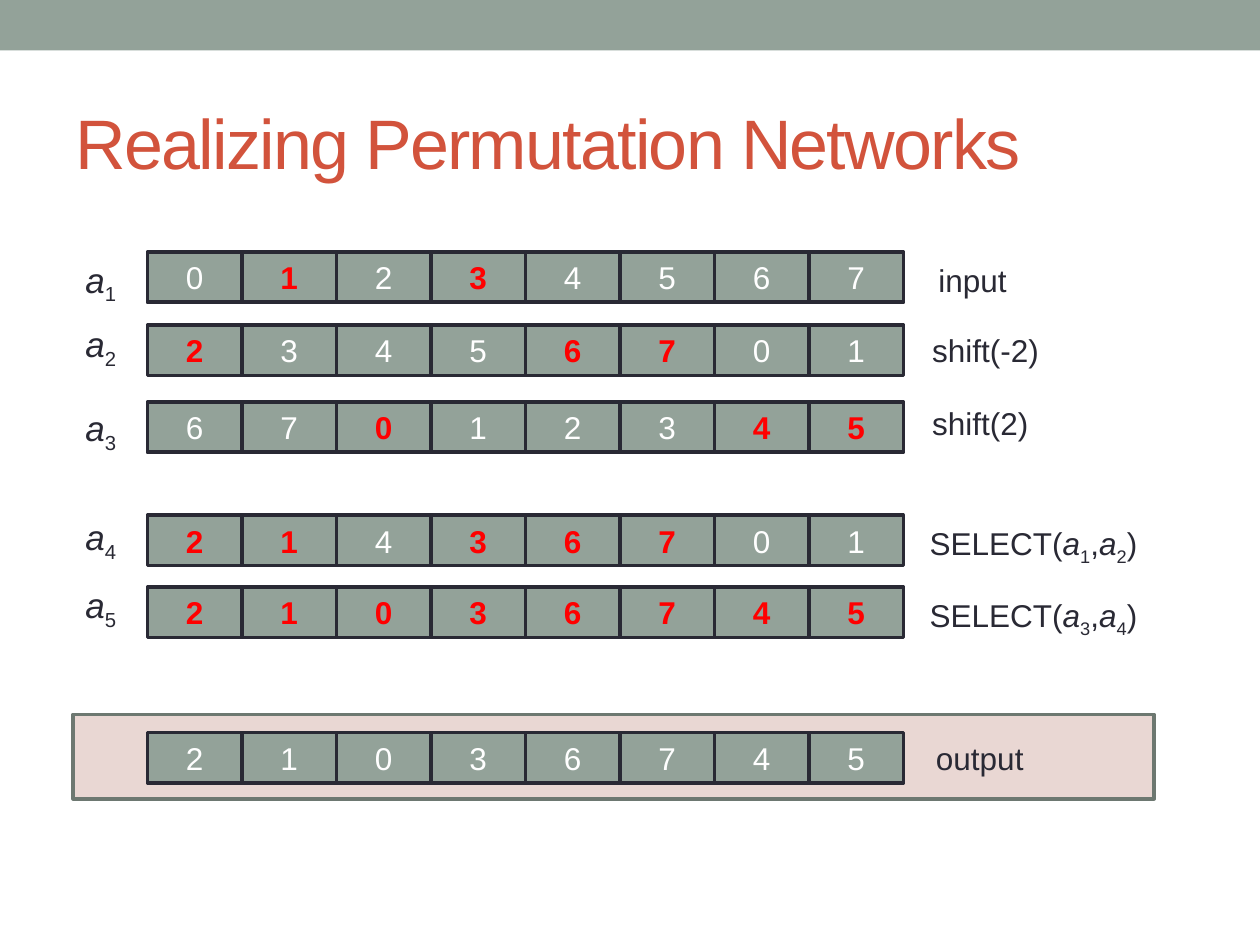
from pptx import Presentation
from pptx.dml.color import RGBColor
from pptx.enum.shapes import MSO_SHAPE as Shape
from pptx.enum.text import MSO_ANCHOR as Anchor, MSO_AUTO_SIZE as AutoSize, PP_ALIGN as Align
from pptx.util import Inches, Pt

SAGE, INK, WHITE, RED = "93A299", "292934", "FFFFFF", "FF0000"
TITLE_RED, PINK, FRAME = "D2533C", "E9D7D3", "6D7871"
CELL_WIDTH, CELL_HEIGHT = 0.75, 0.4
ROW_LEFT, NAME_LEFT = 1.17, 0.58


def color(value):
    return RGBColor.from_string(value)


def set_values(target, values):
    for name, value in values.items():
        setattr(target, name, value)


def inches(box):
    return [Inches(length) for length in box]


def add_run(paragraph, text, size, hex_color, **values):
    run = paragraph.add_run()
    run.text = text
    set_values(run.font, {"name": "Arial", "size": Pt(size), **values})
    run.font.color.rgb = color(hex_color)
    return run


def add_box(shapes, box, fill, line=None):
    shape = shapes.add_shape(Shape.RECTANGLE, *inches(box))
    shape.shadow.inherit = False
    shape.fill.solid()
    shape.fill.fore_color.rgb = color(fill)
    if line:
        shape.line.color.rgb = color(line)
        shape.line.width = Pt(2.08)
    else:
        shape.line.fill.background()
    return shape


def variable(index):
    """Runs of an italic a with its subscript."""
    return [("a", "italic"), (str(index), "subscript")]


def select(first, second):
    return [("SELECT(", ""), *variable(first), (",", ""), *variable(second), (")", "")]


def add_label(slide, box, parts, size=18):
    frame = slide.shapes.add_textbox(*inches(box)).text_frame
    set_values(frame, {"word_wrap": False, "auto_size": AutoSize.SHAPE_TO_FIT_TEXT})
    for text, style in parts:
        run = add_run(frame.paragraphs[0], text, size, INK, italic=style == "italic")
        if style == "subscript":
            run.font._element.set("baseline", "-25000")


def add_array(shapes, left, top, values, marks):
    """Row of touching cells; marked values are bold red."""
    for column, (value, marked) in enumerate(zip(values, marks)):
        box = (left + column * CELL_WIDTH, top, CELL_WIDTH, CELL_HEIGHT)
        frame = add_box(shapes, box, SAGE, INK).text_frame
        frame.vertical_anchor = Anchor.MIDDLE
        paragraph = frame.paragraphs[0]
        paragraph.alignment = Align.CENTER
        add_run(paragraph, str(value), 18, RED if marked else WHITE, bold=marked)


def add_title(slide, box, text):
    title = slide.shapes.title
    set_values(title, dict(zip(("left", "top", "width", "height"), inches(box))))
    title.text_frame.vertical_anchor = Anchor.MIDDLE
    paragraph = title.text_frame.paragraphs[0]
    paragraph.alignment = Align.LEFT
    run = add_run(paragraph, text, 40, TITLE_RED)
    run.font._element.set("spc", "-100")


def add_output(slide, box, values):
    """Framed result row with its label."""
    left, top, _, height = box
    add_box(slide.shapes, box, PINK, FRAME)
    row_top = top + (height - CELL_HEIGHT) / 2 + 0.01
    group = slide.shapes.add_group_shape()
    add_array(group.shapes, ROW_LEFT, row_top, values, [False] * len(values))
    add_label(slide, (left + 6.75, row_top, 0.95, 0.4), [("output", "")])


def shift(values, amount):
    return values[-amount:] + values[:-amount]


def choose(first, second, output):
    """Take the first array where it already agrees with the output."""
    return [a if a == target else b for a, b, target in zip(first, second, output)]


def main():
    presentation = Presentation()
    presentation.slide_width, presentation.slide_height = Inches(10), Inches(7.5)
    slide = presentation.slides.add_slide(presentation.slide_layouts[5])

    # Header
    add_box(slide.shapes, (0, 0, 10, 0.4), SAGE)
    add_title(slide, (0.5, 0.58, 9, 1.08), "Realizing Permutation Networks")

    # Arrays, each derived from the ones before
    output = [2, 1, 0, 3, 6, 7, 4, 5]
    a1 = list(range(8))
    a2, a3 = shift(a1, -2), shift(a1, 2)
    a4 = choose(a1, a2, output)
    a5 = choose(a3, a4, output)

    # Values, row top, name top, then label left, top, width and runs
    rows = [
        (a1, 2.00, 2.00, 7.35, 2.02, 0.80, [("input", "")]),
        (a2, 2.58, 2.51, 7.30, 2.58, 1.13, [("shift(-2)", "")]),
        (a3, 3.19, 3.18, 7.30, 3.16, 1.03, [("shift(2)", "")]),
        (a4, 4.09, 4.04, 7.28, 4.11, 1.86, select(1, 2)),
        (a5, 4.66, 4.58, 7.28, 4.68, 1.88, select(3, 4)),
    ]
    for index, (values, top, name_top, left, label_top, width, parts) in enumerate(rows, 1):
        marks = [value == target for value, target in zip(values, output)]
        add_array(slide.shapes, ROW_LEFT, top, values, marks)
        add_label(slide, (NAME_LEFT, name_top, 0.47, 0.44), variable(index), 20)
        add_label(slide, (left, label_top, width, 0.4), parts)

    # Result
    add_output(slide, (0.58, 5.67, 8.58, 0.67), output)
    presentation.save("out.pptx")


if __name__ == "__main__":
    main()
